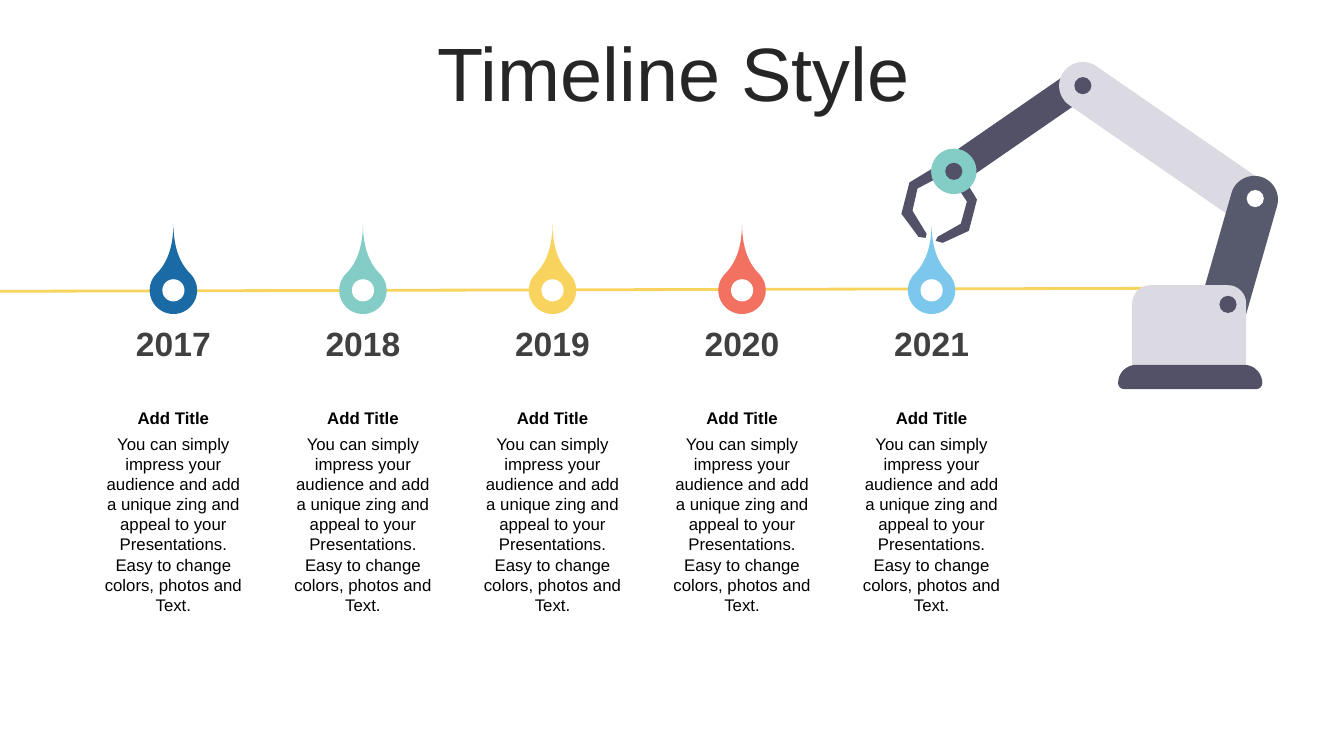
"""Build a five-year timeline slide with a robot arm placing the last marker."""
from math import atan2, cos, degrees, hypot, radians, sin

from lxml.etree import SubElement
from pptx import Presentation
from pptx.dml.color import RGBColor
from pptx.enum.shapes import MSO_CONNECTOR, MSO_SHAPE as Preset
from pptx.enum.text import MSO_ANCHOR as Anchor, PP_ALIGN as Align
from pptx.oxml.ns import qn
from pptx.util import Inches, Pt

WIDTH, HEIGHT = 13.33, 7.5
FONT = "Arial"
WHITE, DARK, SLATE, PALE, TEAL = "FFFFFF", "525168", "575A6C", "DBDAE3", "84CCC6"
YELLOW = "F8D45E"

HEADING = "Timeline Style"
STORY_TITLE = "Add Title"
STORY = ("You can simply impress your audience and add a unique zing and appeal to your "
         "Presentations. Easy to change colors, photos and Text.")
MILESTONES = [("2017", "1A6BA5"), ("2018", TEAL), ("2019", YELLOW),
              ("2020", "F27161"), ("2021", "7CC8EC")]
FIRST_CENTRE, PITCH, MARKER_ROW = 1.72, 1.88, 2.88

HEADING_STYLE = {"size": Pt(54), "bold": False, "color": "262626"}
YEAR_STYLE = {"size": Pt(24), "bold": True, "color": "404040"}
TITLE_STYLE = {"size": Pt(12), "bold": True, "color": "000000"}
STORY_STYLE = {"size": Pt(12), "bold": False, "color": "000000"}

CLAWS = [
    [(9.55, 1.75), (9.69, 1.98), (9.61, 2.29), (9.35, 2.41), (9.28, 2.39),
     (9.3, 2.35), (9.53, 2.22), (9.59, 2), (9.47, 1.82)],
    [(9.25, 1.67), (9.02, 1.81), (8.94, 2.12), (9.11, 2.35), (9.18, 2.36),
     (9.19, 2.32), (9.05, 2.09), (9.1, 1.87), (9.29, 1.77)],
]
ARMS = [((9.46, 1.69), (10.72, 0.82), 0.3, DARK),
        ((12.45, 2.03), (10.74, 0.85), 0.47, PALE),
        ((12.12, 3.1), (12.44, 1.98), 0.47, SLATE)]
STAND = [((11.23, 2.83, 12.36, 3.73), PALE), ((11.09, 3.62, 12.52, 3.86), DARK)]
TOP_RADIUS, BOTTOM_RADIUS = 0.18, 0.06
JOINTS = [((10.74, 0.85), 0.17, DARK), ((12.45, 1.97), 0.17, WHITE),
          ((12.18, 3.02), 0.17, DARK), ((9.46, 1.7), 0.45, TEAL),
          ((9.46, 1.7), 0.17, DARK)]

deck = Presentation()
deck.slide_width, deck.slide_height = Inches(WIDTH), Inches(HEIGHT)
slide = deck.slides.add_slide(deck.slide_layouts[6])
shapes = slide.shapes


def colour(value):
    return RGBColor.from_string(value)


def paint(shape, fill):
    shape.shadow.inherit = False
    shape.fill.solid()
    shape.fill.fore_color.rgb = colour(fill)
    shape.line.fill.background()
    return shape


def place(preset, centre, width, height, fill, rotation=0, adjustments=()):
    left, top = centre[0] - width / 2, centre[1] - height / 2
    shape = shapes.add_shape(preset, *map(Inches, (left, top, width, height)))
    for index, amount in enumerate(adjustments):
        shape.adjustments[index] = amount
    shape.rotation = rotation
    return paint(shape, fill)


def outline(points, fill):
    start, *others = [(Inches(x), Inches(y)) for x, y in points]
    builder = shapes.build_freeform(*start)
    builder.add_line_segments(others, close=True)
    return paint(builder.convert_to_shape(), fill)


def rounded(left, top, right, bottom):
    corners = [(left + TOP_RADIUS, top + TOP_RADIUS, TOP_RADIUS),
               (right - TOP_RADIUS, top + TOP_RADIUS, TOP_RADIUS),
               (right - BOTTOM_RADIUS, bottom - BOTTOM_RADIUS, BOTTOM_RADIUS),
               (left + BOTTOM_RADIUS, bottom - BOTTOM_RADIUS, BOTTOM_RADIUS)]
    return [(x + r * cos(radians(turn)), y + r * sin(radians(turn)))
            for quarter, (x, y, r) in enumerate(corners)
            for turn in range(180 + 90 * quarter, 271 + 90 * quarter, 10)]


def arm(foot, hub, width, fill):
    across, down = hub[0] - foot[0], hub[1] - foot[1]
    reach = hypot(across, down)
    length = reach + width / 2
    share = length / 2 / reach
    centre = (foot[0] + across * share, foot[1] + down * share)
    place(Preset.ROUND_2_SAME_RECTANGLE, centre, width, length, fill,
          degrees(atan2(across, -down)), (0.5, 0))


def write(words, centre_x, top, width, height, style, inset=(0.1, 0.05),
          anchor=Anchor.TOP, line_spacing=None):
    box = shapes.add_textbox(*map(Inches, (centre_x - width / 2, top, width, height)))
    frame = box.text_frame
    side, end = map(Inches, inset)
    layout = {"word_wrap": True, "vertical_anchor": anchor, "margin_left": side,
              "margin_right": side, "margin_top": end, "margin_bottom": end}
    for name, value in layout.items():
        setattr(frame, name, value)
    paragraph = frame.paragraphs[0]
    paragraph.alignment, paragraph.line_spacing = Align.CENTER, line_spacing
    run = paragraph.add_run()
    run.text = words
    run.font.name = FONT
    for name in ("size", "bold"):
        setattr(run.font, name, style[name])
    run.font.color.rgb = colour(style["color"])


def draw_track():
    track = shapes.add_connector(MSO_CONNECTOR.STRAIGHT,
                                 *map(Inches, (0, 2.89, 11.65, 2.86)))
    track.line.color.rgb = colour(YELLOW)
    track.line.width = Pt(2)
    SubElement(track._element.spPr, qn("a:effectLst"))


def draw_milestone(centre_x, year, fill):
    centre = (centre_x, MARKER_ROW)
    place(Preset.TEAR, centre, 0.47, 0.47, fill, 315, (2,))
    place(Preset.OVAL, centre, 0.22, 0.22, WHITE)
    write(year, centre_x, 3.2, 1.2, 0.4, YEAR_STYLE, inset=(0, 0))
    write(STORY_TITLE, centre_x, 4, 1.65, 0.3, TITLE_STYLE)
    write(STORY, centre_x, 4.25, 1.65, 1.92, STORY_STYLE)


def draw_robot():
    forearm, *upper_arms = ARMS
    arm(*forearm)
    for claw in CLAWS:
        outline(claw, DARK)
    for upper_arm in upper_arms:
        arm(*upper_arm)
    for bounds, fill in STAND:
        outline(rounded(*bounds), fill)
    for centre, size, fill in JOINTS:
        place(Preset.OVAL, centre, size, size, fill)


def main():
    write(HEADING, 6.68, 0.37, 12.66, 0.79, HEADING_STYLE,
          anchor=Anchor.MIDDLE, line_spacing=0.9)
    draw_track()
    for column, (year, fill) in enumerate(MILESTONES):
        draw_milestone(FIRST_CENTRE + PITCH * column, year, fill)
    draw_robot()
    deck.save("out.pptx")


if __name__ == "__main__":
    main()
